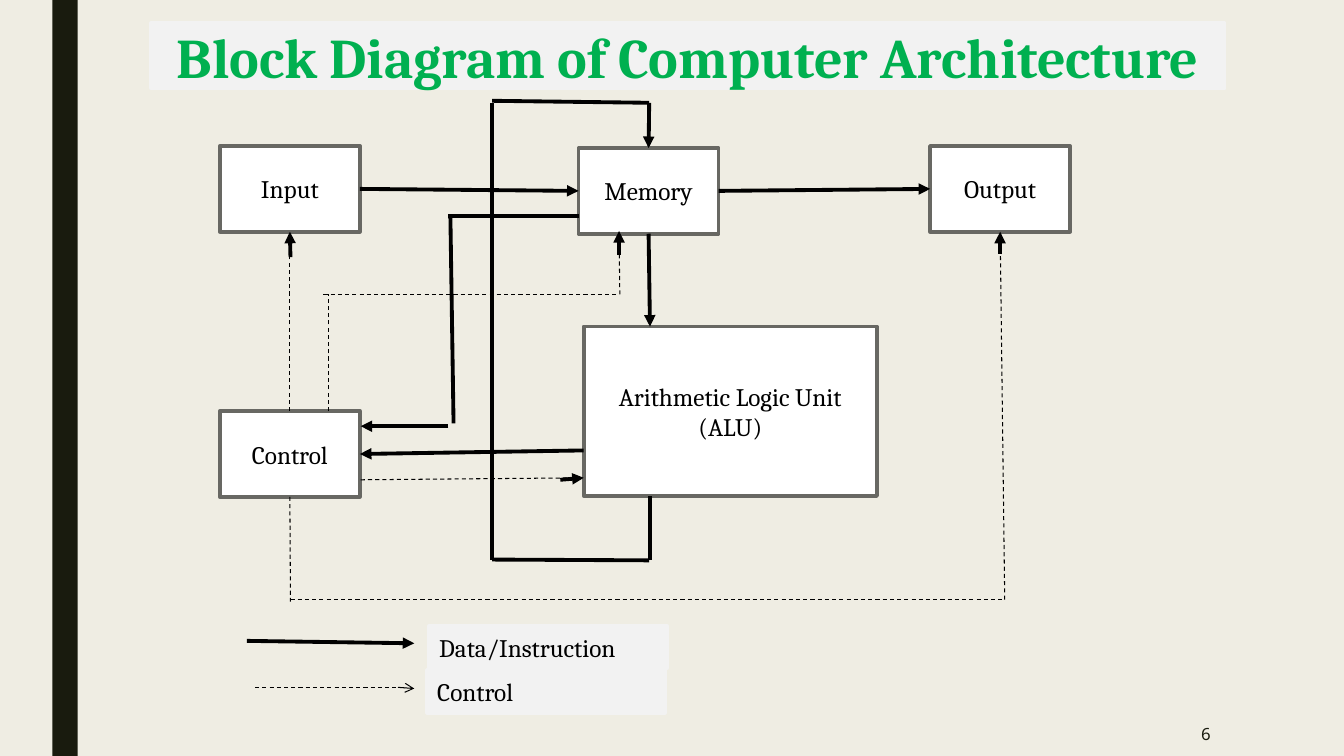
from lxml import etree
from pptx import Presentation
from pptx import util as u
from pptx.dml.color import RGBColor
from pptx.enum import dml, shapes, text
from pptx.oxml.ns import qn

Cm = u.Cm
color = RGBColor.from_string

prs = Presentation()
prs.slide_width, prs.slide_height = Cm(33.87), Cm(19.05)
s = prs.slides.add_slide(prs.slide_layouts[6])
s.background.fill.solid()
s.background.fill.fore_color.rgb = color("EFEDE3")


def add_box(label, x, y, w, h, fill=None, line=None, size=18, font="Cambria",
            ink="000000", bold=False, align="CENTER"):
    sp = s.shapes.add_shape(shapes.MSO_SHAPE.RECTANGLE, Cm(x), Cm(y), Cm(w), Cm(h))
    sp.shadow.inherit = False
    if fill:
        sp.fill.solid()
        sp.fill.fore_color.rgb = color(fill)
    else:
        sp.fill.background()
    if line:
        sp.line.color.rgb = color(line)
        sp.line.width = u.Pt(2.75)
    else:
        sp.line.fill.background()
    tf = sp.text_frame
    tf.word_wrap = True
    tf.vertical_anchor = text.MSO_ANCHOR.MIDDLE
    p = tf.paragraphs[0]
    p.alignment = getattr(text.PP_ALIGN, align)
    if label:
        r = p.add_run()
        r.text = label
        r.font.size, r.font.name, r.font.bold = u.Pt(size), font, bold
        r.font.color.rgb = color(ink)
    return sp


def add_line(x1, y1, x2, y2, width=2.75, dash=False, head=None, begin=None, end=None):
    c = s.shapes.add_connector(shapes.MSO_CONNECTOR.STRAIGHT, Cm(x1), Cm(y1), Cm(x2), Cm(y2))
    c.line.color.rgb = color("000000")
    c.line.width = u.Pt(width)
    if dash:
        c.line.dash_style = dml.MSO_LINE.DASH
    if head:
        etree.SubElement(c.line._get_or_add_ln(), qn("a:tailEnd"), type=head)
    etree.SubElement(c._element.spPr, qn("a:effectLst"))
    if begin:
        c.begin_connect(*begin)
    if end:
        c.end_connect(*end)


# Side stripe
add_box("", 1.32, 0, 0.64, 19.05, fill="191B0E")

# Computer units
units = {}
for name, x, y, w, h in [
    ("Input", 5.54, 3.68, 3.53, 2.16),
    ("Memory", 14.58, 3.73, 3.53, 2.16),
    ("Output", 23.44, 3.68, 3.53, 2.16),
    ("Control", 5.54, 10.36, 3.53, 2.16),
    ("Arithmetic Logic Unit (ALU)", 14.71, 8.23, 7.39, 4.27),
]:
    units[name] = add_box(name, x, y, w, h, fill="FFFFFF", line="686863")
inp, memory, output, control, alu = units.values()

# Data and instruction flow
for points, head, begin, end in [
    ((9.09, 4.78, 14.58, 4.8), "triangle", (inp, 3), (memory, 1)),
    ((18.06, 4.78, 23.55, 4.8), "triangle", (memory, 3), (output, 1)),
    ((16.36, 5.89, 16.38, 8.23), "triangle", (memory, 2), None),
    ((14.71, 11.35, 9.09, 11.43), "triangle", None, (control, 3)),
    # ALU back to memory
    ((16.38, 12.5, 16.38, 14.1), None, None, None),
    ((16.36, 14.12, 12.4, 14.1), None, None, None),
    ((12.4, 14.1, 12.4, 2.59), None, None, None),
    ((12.4, 2.54, 16.36, 2.59), None, None, None),
    ((16.36, 2.59, 16.36, 3.73), "triangle", None, (memory, 0)),
    # Memory to control
    ((14.58, 5.44, 11.3, 5.44), None, None, None),
    ((11.35, 5.44, 11.43, 10.67), None, None, None),
    ((11.3, 10.74, 9.09, 10.74), "triangle", None, None),
]:
    add_line(*points, head=head, begin=begin, end=end)

# Control signals
for points, begin, end in [
    ((7.32, 10.36, 7.32, 5.84), (control, 0), (inp, 2)),
    ((7.32, 12.5, 7.32, 15.16), (control, 2), None),
    ((7.32, 15.11, 25.32, 15.11), None, None),
    ((25.32, 15.11, 25.2, 5.84), None, (output, 2)),
    ((9.09, 12.09, 14.71, 12.04), None, None),
    ((8.28, 10.36, 8.28, 7.42), None, None),
    ((8.15, 7.42, 15.6, 7.42), None, None),
    ((15.62, 7.42, 15.6, 5.89), None, None),
]:
    add_line(*points, width=0.75, dash=True, begin=begin, end=end)

# Solid tips of the control signals
for points, end in [
    ((7.32, 6.48, 7.32, 5.84), (inp, 2)),
    ((15.6, 6.43, 15.6, 5.82), None),
    ((25.2, 6.4, 25.2, 5.77), (output, 2)),
    ((14.12, 12.09, 14.71, 12.04), None),
]:
    add_line(*points, head="triangle", end=end)

# Legend
add_line(6.22, 16.15, 10.44, 16.21, head="triangle")
add_line(6.43, 17.32, 10.03, 17.32, width=0.75, dash=True)
add_line(10.03, 17.32, 10.44, 17.35, width=0.75, head="arrow")
for label, x, y in [("Data/Instruction", 10.82, 15.77), ("Control", 10.77, 16.89)]:
    add_box(label, x, y, 5.99, 1.07, fill="F2F2F2", line="F2F2F2", align="LEFT")

# Title and slide number
add_box("Block Diagram of Computer Architecture", 3.81, 0.58, 27.05, 1.65,
        fill="F2F2F2", line="F2F2F2", size=40, ink="00B050", bold=True)
add_box("6", 26.31, 17.93, 4.45, 1.12, size=12, font="Noto Sans", ink="191B0E", align="RIGHT")

prs.save("out.pptx")
